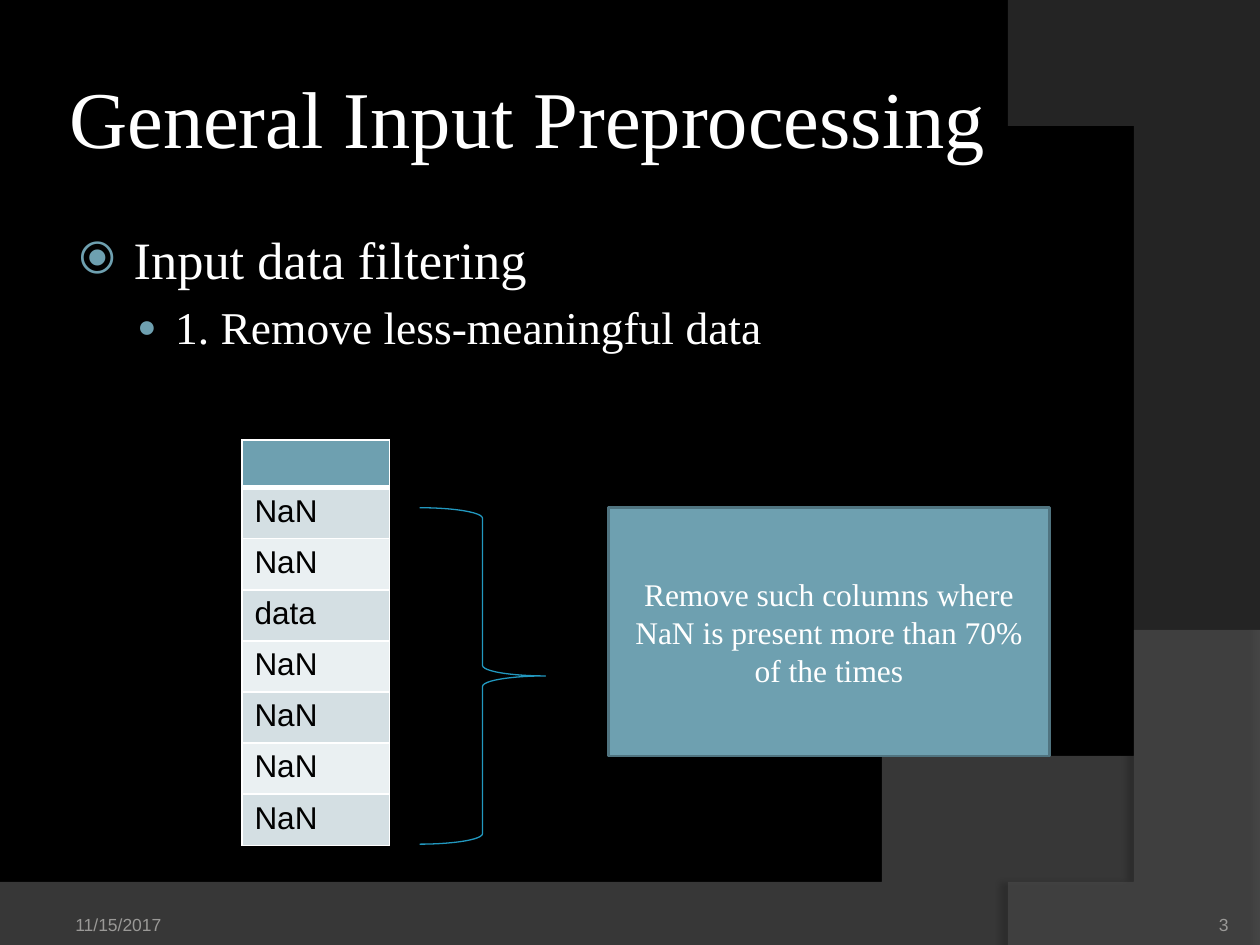
from dataclasses import dataclass

from lxml.etree import SubElement
from pptx import Presentation
from pptx.dml.color import RGBColor
from pptx.enum.shapes import MSO_SHAPE as Shape
from pptx.enum.text import MSO_ANCHOR as Anchor, MSO_AUTO_SIZE as AutoSize, PP_ALIGN as Align
from pptx.oxml.ns import qn
from pptx.util import Inches, Pt


@dataclass(frozen=True)
class Theme:
    background: str = "000000"
    text: str = "FFFFFF"
    cell_text: str = "000000"
    footer: str = "9A9997"
    accent: str = "6EA0B0"
    accent_edge: str = "507480"
    brace: str = "2298BF"
    bands: tuple = ("D4DFE3", "EAF0F2")
    hill: str = "7B7B7B"
    arc: str = "5A5A5A"
    serif: str = "Times New Roman"
    sans: str = "Arial"
    title_size: int = 46
    topic_size: int = 30
    point_size: int = 26
    normal_size: int = 18
    footer_size: int = 10


THEME = Theme()


def rgb(value):
    return RGBColor.from_string(value)


def child(parent, tag, **attributes):
    return SubElement(parent, qn(tag), {key: str(value) for key, value in attributes.items()})


def add_color(parent, value, opacity=None):
    color = child(parent, "a:srgbClr", val=value)
    if opacity is not None:
        child(color, "a:alpha", val=opacity * 1000)


def place(part, box):
    part.left, part.top, part.width, part.height = map(Inches, box)


def set_margins(target, left, top, right, bottom):
    target.margin_left, target.margin_top = Inches(left), Inches(top)
    target.margin_right, target.margin_bottom = Inches(right), Inches(bottom)


def write(paragraph, text, size=THEME.normal_size, font=THEME.serif, color=THEME.text,
          align=Align.LEFT, before=0):
    paragraph.alignment = align
    paragraph.space_before = Pt(before)
    run = paragraph.add_run()
    run.text = text
    run.font.size, run.font.name = Pt(size), font
    run.font.color.rgb = rgb(color)


def set_bullet(paragraph, symbol, indent, hanging, percent):
    props = paragraph._p.get_or_add_pPr()
    props.set("marL", str(Inches(indent)))
    props.set("indent", str(Inches(-hanging)))
    add_color(child(props, "a:buClr"), THEME.accent)
    child(props, "a:buSzPct", val=percent * 1000)
    child(props, "a:buFont", typeface=THEME.sans)
    child(props, "a:buChar", char=symbol)


def curve(start, pull_start, pull_end, end, steps=60):
    points = []
    for step in range(1, steps + 1):
        t = step / steps
        weights = ((1 - t) ** 3, 3 * t * (1 - t) ** 2, 3 * t * t * (1 - t), t ** 3)
        corners = (start, pull_start, pull_end, end)
        points.append(tuple(sum(w * c[axis] for w, c in zip(weights, corners)) for axis in (0, 1)))
    return points


def add_swoosh(slide, depth, outline, color, opacity, shade, distance, direction):
    builder = slide.shapes.build_freeform(*outline[0], scale=Inches(1))
    builder.add_line_segments(outline[1:], close=True)
    swoosh = builder.convert_to_shape()
    swoosh.fill.solid()
    swoosh.fill.fore_color.rgb = rgb(color)
    child(swoosh._element.spPr.find(".//" + qn("a:srgbClr")), "a:alpha", val=opacity * 1000)
    swoosh.line.fill.background()
    effects = child(swoosh._element.spPr, "a:effectLst")
    shadow = child(effects, "a:outerShdw", blurRad=Pt(4), dist=Pt(distance),
                   dir=direction * 60000, rotWithShape=0)
    add_color(shadow, THEME.background, shade)
    swoosh._element.getparent().insert(2 + depth, swoosh._element)


def add_backdrop(slide, box):
    left, top, width, height = box
    right, bottom = left + width, top + height
    slide.background.fill.solid()
    slide.background.fill.fore_color.rgb = rgb(THEME.background)
    crest, foot = (right, top + 5.2), (left, top + 7.05)
    hill = [foot, (left, bottom), (right, bottom), crest]
    hill += curve(crest, (left + 5.59, top + 7.29), (left + 3.91, top + 7.19), foot)
    add_swoosh(slide, 0, hill, THEME.hill, 45, 35, 3.5, 270)
    base, tip = (left + 8.21, bottom), (left + 8, top)
    arc = [(right, top + 0.02), (right, bottom), base]
    arc += curve(base, (left + 9.35, top + 6.19), (left + 10.18, top + 3), tip)
    add_swoosh(slide, 1, arc, THEME.arc, 40, 45, 4, 180)


def add_title(slide, box, text):
    title = slide.shapes.title
    place(title, box)
    frame = title.text_frame
    frame.auto_size, frame.vertical_anchor = AutoSize.NONE, Anchor.MIDDLE
    set_margins(frame, 0.05, 0.05, 0.05, 0.05)
    write(frame.paragraphs[0], text, size=THEME.title_size)


def add_outline(slide, box, topic, point):
    body = slide.placeholders[1]
    place(body, box)
    frame = body.text_frame
    frame.auto_size = AutoSize.NONE
    set_margins(frame, 0.1, 0.05, 0.1, 0.05)
    heading, detail = frame.paragraphs[0], frame.add_paragraph()
    write(heading, topic, size=THEME.topic_size)
    set_bullet(heading, "⦿", 0.46, 0.43, 85)
    detail.level = 1
    write(detail, point, size=THEME.point_size, before=5.2)
    set_bullet(detail, "●", 0.79, 0.3, 70)


def add_footer(slide, box, text, margins, align):
    footer = slide.shapes.add_textbox(*map(Inches, box))
    frame = footer.text_frame
    frame.word_wrap, frame.vertical_anchor = True, Anchor.BOTTOM
    set_margins(frame, *margins)
    write(frame.paragraphs[0], text, size=THEME.footer_size, font=THEME.sans,
          color=THEME.footer, align=align)


def set_borders(cell, **widths):
    props = cell._tc.get_or_add_tcPr()
    for position, side in enumerate("LRTB"):
        border = child(props, f"a:ln{side}", w=Pt(widths.get(side, 1)))
        add_color(child(border, "a:solidFill"), THEME.text)
        props.insert(position, border)


def add_sample_column(slide, box, values, header_height=0.38):
    left, top, width, height = box
    table = slide.shapes.add_table(len(values) + 1, 1, *map(Inches, box)).table
    table.columns[0].width = Inches(width)
    row_height = (height - header_height) / len(values)
    for index, text in enumerate(["", *values]):
        cell = table.cell(index, 0)
        header = index == 0
        table.rows[index].height = Inches(header_height if header else row_height)
        inset = 0 if header else 0.05
        set_margins(cell, 0.1, inset, 0.1, inset)
        cell.fill.solid()
        cell.fill.fore_color.rgb = rgb(THEME.accent if header else THEME.bands[(index - 1) % 2])
        set_borders(cell, B=3 if header else 1, T=3 if index == 1 else 1)
        if text:
            write(cell.text_frame.paragraphs[0], text, font=THEME.sans, color=THEME.cell_text)


def add_brace(slide, box):
    brace = slide.shapes.add_shape(Shape.RIGHT_BRACE, *map(Inches, box))
    brace.shadow.inherit = False
    brace.fill.background()
    brace.line.color.rgb, brace.line.width = rgb(THEME.brace), Pt(0.75)


def add_rule(slide, box, text):
    rule = slide.shapes.add_shape(Shape.RECTANGLE, *map(Inches, box))
    rule.shadow.inherit = False
    rule.fill.solid()
    rule.fill.fore_color.rgb = rgb(THEME.accent)
    rule.line.color.rgb, rule.line.width = rgb(THEME.accent_edge), Pt(1.5)
    frame = rule.text_frame
    frame.word_wrap, frame.vertical_anchor = True, Anchor.MIDDLE
    write(frame.paragraphs[0], text, align=Align.CENTER)


def main():
    deck = Presentation()
    deck.slide_width, deck.slide_height = Inches(10), Inches(7.5)
    slide = deck.slides.add_slide(deck.slide_layouts[1])
    add_backdrop(slide, (0, 0, 10, 7.5))
    add_title(slide, (0.5, 0.3, 8.17, 1.25), "General Input Preprocessing")
    add_outline(slide, (0.5, 1.75, 8.17, 4.95),
                "Input data filtering", "1. Remove less-meaningful data")
    add_footer(slide, (0.5, 7.02, 2.33, 0.4), "11/15/2017", (0.1, 0.05, 0.1, 0), Align.LEFT)
    add_footer(slide, (8.92, 7.02, 0.83, 0.4), "3", (0, 0, 0, 0), Align.RIGHT)
    add_sample_column(slide, (1.92, 3.49, 1.17, 3.22),
                      ["NaN", "NaN", "data", "NaN", "NaN", "NaN", "NaN"])
    add_brace(slide, (3.33, 4.03, 1, 2.67))
    add_rule(slide, (4.83, 4.03, 3.5, 1.97),
             "Remove such columns where NaN is present more than 70% of the times")
    deck.save("out.pptx")


if __name__ == "__main__":
    main()
